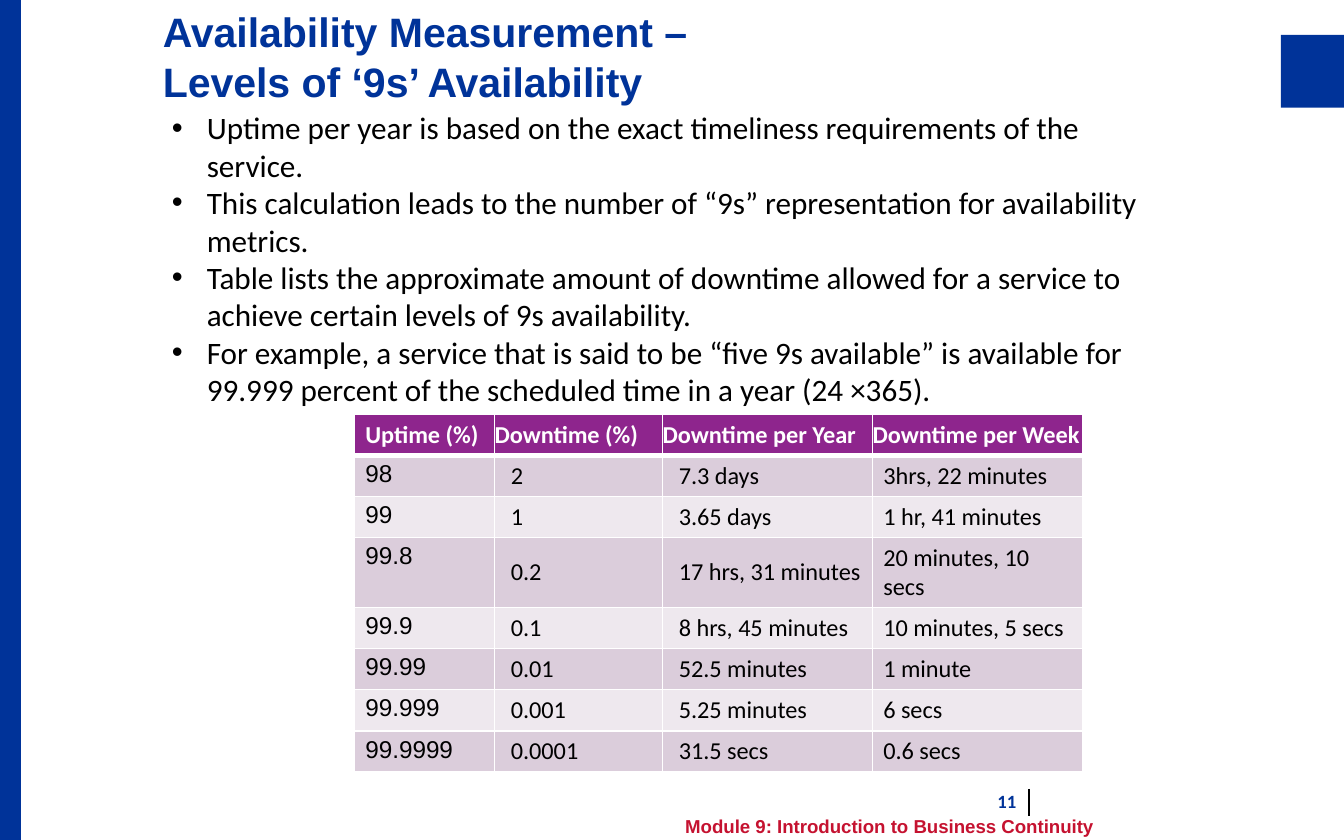
from lxml import etree
from pptx import Presentation
from pptx.dml.color import RGBColor
from pptx.enum.shapes import MSO_CONNECTOR, MSO_SHAPE
from pptx.enum.text import MSO_ANCHOR, PP_ALIGN
from pptx.oxml.ns import qn
from pptx.util import Pt

RECT, STRAIGHT = MSO_SHAPE.RECTANGLE, MSO_CONNECTOR.STRAIGHT
TOP, MIDDLE = MSO_ANCHOR.TOP, MSO_ANCHOR.MIDDLE
LEFT, RIGHT = PP_ALIGN.LEFT, PP_ALIGN.RIGHT

# Content
TITLE = "Availability Measurement – Levels of ‘9s’ Availability"
BULLETS = [
    "Uptime per year is based on the exact timeliness requirements of the service.",
    "This calculation leads to the number of “9s” representation for availability metrics.",
    "Table lists the approximate amount of downtime allowed for a service to achieve "
    "certain levels of 9s availability.",
    "For example, a service that is said to be “five 9s available” is available for "
    "99.999 percent of the scheduled time in a year (24 ×365).",
]
LEVELS = [
    ("Uptime (%)", "Downtime (%)", "Downtime per Year", "Downtime per Week"),
    ("98", "2", "7.3 days", "3hrs, 22 minutes"),
    ("99", "1", "3.65 days", "1 hr, 41 minutes"),
    ("99.8", "0.2", "17 hrs, 31 minutes", "20 minutes, 10 secs"),
    ("99.9", "0.1", "8 hrs, 45 minutes", "10 minutes, 5 secs"),
    ("99.99", "0.01", "52.5 minutes", "1 minute"),
    ("99.999", "0.001", "5.25 minutes", "6 secs"),
    ("99.9999", "0.0001", "31.5 secs", "0.6 secs"),
]
FOOTER = "Module 9: Introduction to Business Continuity"
PAGE_NUMBER = "11"

# Formats
BLUE, RED, BLACK, WHITE = "003399", "C51230", "000000", "FFFFFF"
HEADER_FILL, BANDS = "8E258D", ("DBCDDB", "EEE8EE")
TITLE_FONT = {"name": "Arial", "size": Pt(22), "bold": True}
BODY_FONT = {"name": "Calibri", "size": Pt(16.7), "bold": False}
FOOTER_FONT = {"name": "Arial", "size": Pt(10), "bold": True}
NUMBER_FONT = {"name": "Calibri", "size": Pt(10), "bold": True}
HEADER_FONT = {"name": "Calibri", "size": Pt(13), "bold": True}
CELL_FONT = {"name": "Calibri", "size": Pt(13), "bold": False}
COLUMN_WIDTHS = [75, 90, 112.5, 112.5]
HEADER_INSETS = [5.76, 0, 0, 0]
CELL_INSETS = [5.76, 8.7, 8.7, 5.76]
ROW_HEIGHT, TALL_ROW, TALL_HEIGHT = 22, 3, 37.5
INDENT = 18.72


def color(value):
    return RGBColor.from_string(value)


def paint(shape, value):
    shape.fill.solid()
    shape.fill.fore_color.rgb = color(value)


def write(para, text, formats, value, align=LEFT):
    para.alignment = align
    span = para.add_run()
    span.text = text
    for name, setting in formats.items():
        setattr(span.font, name, setting)
    span.font.color.rgb = color(value)


def add_box(left, top, width, height, anchor):
    box = page.shapes.add_textbox(Pt(left), Pt(top), Pt(width), Pt(height))
    box.text_frame.word_wrap = True
    box.text_frame.vertical_anchor = anchor
    return box.text_frame


def add_bullet(para):
    settings = para._p.get_or_add_pPr()
    settings.set("marL", str(Pt(INDENT)))
    settings.set("indent", str(Pt(-INDENT)))
    etree.SubElement(settings, qn("a:buFont")).set("typeface", "Arial")
    etree.SubElement(settings, qn("a:buChar")).set("char", "•")


def add_borders(cell, widths):
    settings = cell._tc.get_or_add_tcPr()
    for side, width in widths.items():
        line = etree.SubElement(settings, qn("a:ln" + side), w=str(Pt(width)))
        fill = etree.SubElement(line, qn("a:solidFill"))
        etree.SubElement(fill, qn("a:srgbClr")).set("val", WHITE)


deck = Presentation()
deck.slide_width, deck.slide_height = Pt(720), Pt(450)
page = deck.slides.add_slide(deck.slide_layouts[5])

# Blue side bar and corner block
for left, top, width, height in [(686.25, 18.75, 33.75, 39), (0, 0, 11.25, 450)]:
    block = page.shapes.add_shape(RECT, Pt(left), Pt(top), Pt(width), Pt(height))
    block.shadow.inherit = False
    paint(block, BLUE)
    block.line.fill.background()

# Title
title = page.shapes.title
title.left, title.top, title.width, title.height = Pt(80), Pt(5), Pt(335), Pt(50)
paint(title, WHITE)
title.text_frame.word_wrap = True
title.text_frame.vertical_anchor = MIDDLE
write(title.text_frame.paragraphs[0], TITLE, TITLE_FONT, BLUE)

# Footer, page number and its rule
frame = add_box(360, 435, 275, 15, MIDDLE)
write(frame.paragraphs[0], FOOTER, FOOTER_FONT, RED)
frame = add_box(323.25, 417, 228.25, 24, MIDDLE)
write(frame.paragraphs[0], PAGE_NUMBER, NUMBER_FONT, BLUE, RIGHT)
rule = page.shapes.add_connector(STRAIGHT, Pt(551.3), Pt(422.6), Pt(551.3), Pt(437))
rule.line.color.rgb = color(BLACK)
rule.line.width = Pt(1.25)
etree.SubElement(rule._element.spPr, qn("a:effectLst"))

# Availability table
row_heights = [TALL_HEIGHT if row == TALL_ROW else ROW_HEIGHT for row in range(len(LEVELS))]
table = page.shapes.add_table(
    len(LEVELS), len(COLUMN_WIDTHS), Pt(190), Pt(222),
    Pt(sum(COLUMN_WIDTHS)), Pt(sum(row_heights))).table
for column, width in zip(table.columns, COLUMN_WIDTHS):
    column.width = Pt(width)
for row, texts in enumerate(LEVELS):
    table.rows[row].height = Pt(row_heights[row])
    header = row == 0
    for column, text in enumerate(texts):
        cell = table.cell(row, column)
        uptime = column == 0 and not header
        inset = (HEADER_INSETS if header else CELL_INSETS)[column]
        cell.margin_left = Pt(inset)
        cell.margin_right = Pt(0 if header else 5.76)
        cell.margin_top = cell.margin_bottom = Pt(2.88)
        cell.vertical_anchor = TOP if uptime else MIDDLE
        add_borders(cell, {"L": 1, "R": 1, "T": 3 if row == 1 else 1, "B": 3 if header else 1})
        paint(cell, HEADER_FILL if header else BANDS[(row - 1) % 2])
        formats = HEADER_FONT if header else CELL_FONT
        if uptime:
            formats = {**CELL_FONT, "name": "Arial"}
        write(cell.text_frame.paragraphs[0], text, formats, WHITE if header else BLACK)

# Bullets
frame = add_box(85, 54.75, 555, 169, TOP)
for index, text in enumerate(BULLETS):
    para = frame.add_paragraph() if index else frame.paragraphs[0]
    add_bullet(para)
    write(para, text, BODY_FONT, BLACK)

deck.save("out.pptx")
